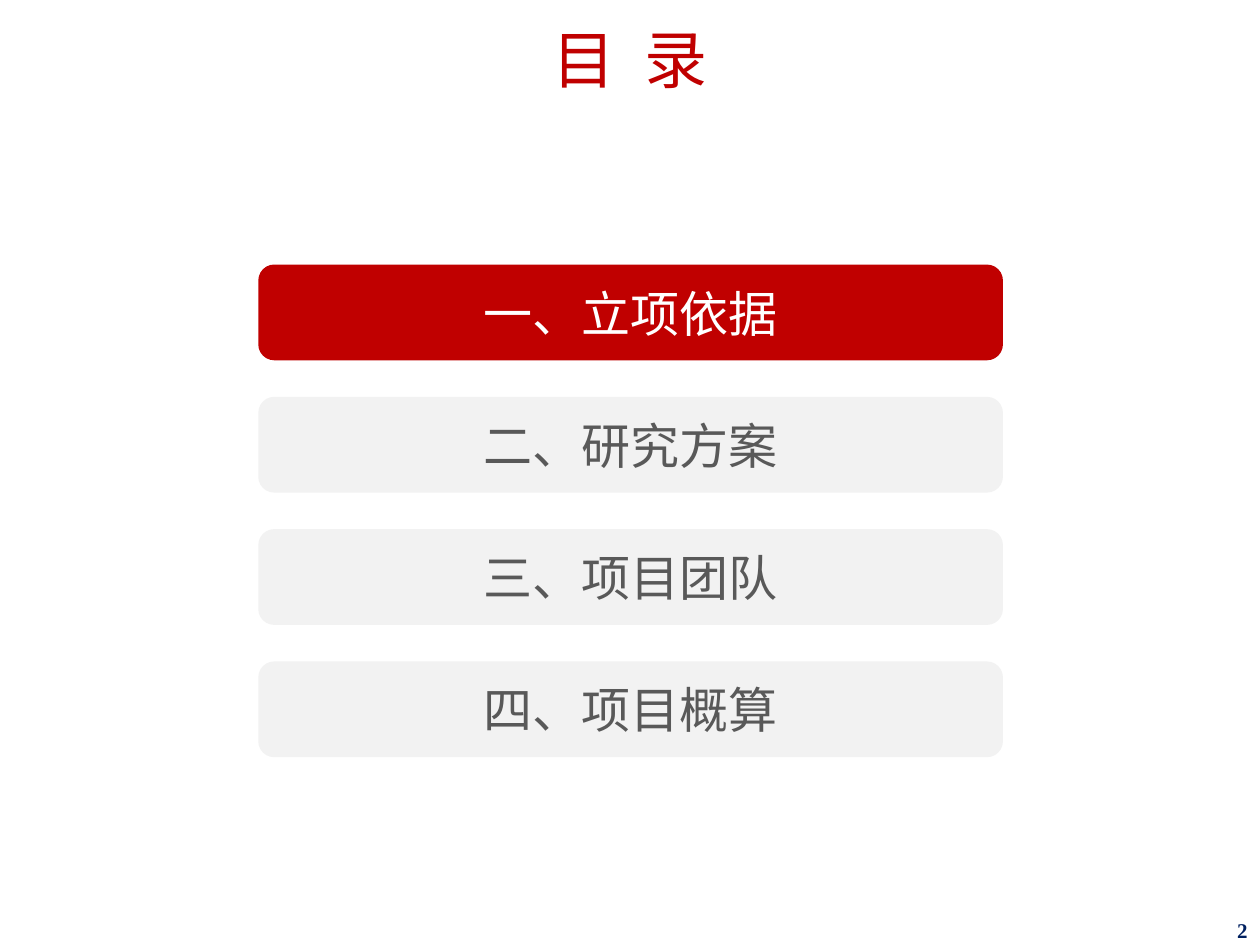
"""Build the contents slide with its first section highlighted."""
from dataclasses import dataclass

from pptx import Presentation
from pptx import util as u
from pptx.dml.color import RGBColor
from pptx.enum import shapes, text


@dataclass(frozen=True)
class Theme:
    """Hold the font, colours and type sizes."""
    font: str = "Times New Roman"
    red: str = "C00000"
    navy: str = "002060"
    pale: str = "F2F2F2"
    gray: str = "595959"
    white: str = "FFFFFF"
    title: int = 36
    item: int = 28
    page: int = 12


THEME = Theme()
ITEMS = ("一、立项依据", "二、研究方案", "三、项目团队", "四、项目概算")


def apply(target, values):
    """Set each named attribute on the target."""
    for name, value in values.items():
        setattr(target, name, value)


def write(shape, words, size, color, align="CENTER", top=0.05, bold=False, line=1.0):
    """Put one formatted paragraph in a shape."""
    frame = shape.text_frame
    apply(frame, {
        "word_wrap": True,
        "vertical_anchor": text.MSO_ANCHOR.MIDDLE,
        "margin_left": u.Inches(0.1),
        "margin_right": u.Inches(0.1),
        "margin_top": u.Inches(top),
        "margin_bottom": u.Inches(0.05),
    })
    para = frame.paragraphs[0]
    apply(para, {"alignment": text.PP_ALIGN[align], "line_spacing": line})
    run = para.add_run()
    run.text = words
    apply(run.font, {"name": THEME.font, "size": u.Pt(size), "bold": bold})
    run.font.color.rgb = RGBColor.from_string(color)


def label(slide, box, words, size, color, **style):
    """Add a text box."""
    shape = slide.shapes.add_textbox(*map(u.Inches, box))
    write(shape, words, size, color, **style)


def bar(slide, box, words, fill, color):
    """Add a rounded section bar."""
    shape = slide.shapes.add_shape(
        shapes.MSO_SHAPE.ROUNDED_RECTANGLE, *map(u.Inches, box))
    shape.shadow.inherit = False
    shape.fill.solid()
    shape.fill.fore_color.rgb = RGBColor.from_string(fill)
    shape.line.fill.background()
    write(shape, words, THEME.item, color)


def main():
    """Build and save the slide."""
    deck = Presentation()
    apply(deck, {"slide_width": u.Inches(10), "slide_height": u.Inches(7.5)})
    slide = deck.slides.add_slide(deck.slide_layouts[6])
    label(slide, (0, 0, 10, 0.89), "目  录", THEME.title, THEME.red,
          top=0.16, line=0.9)
    label(slide, (7.75, 7.28, 2.25, 0.22), "2", THEME.page, THEME.navy,
          align="RIGHT", top=0.04, bold=True)
    active = 0
    for row, words in enumerate(ITEMS):
        fill, color = ((THEME.red, THEME.white) if row == active
                       else (THEME.pale, THEME.gray))
        bar(slide, (2.05, 2.1 + 1.05 * row, 5.91, 0.76), words, fill, color)
    deck.save("out.pptx")


if __name__ == "__main__":
    main()
